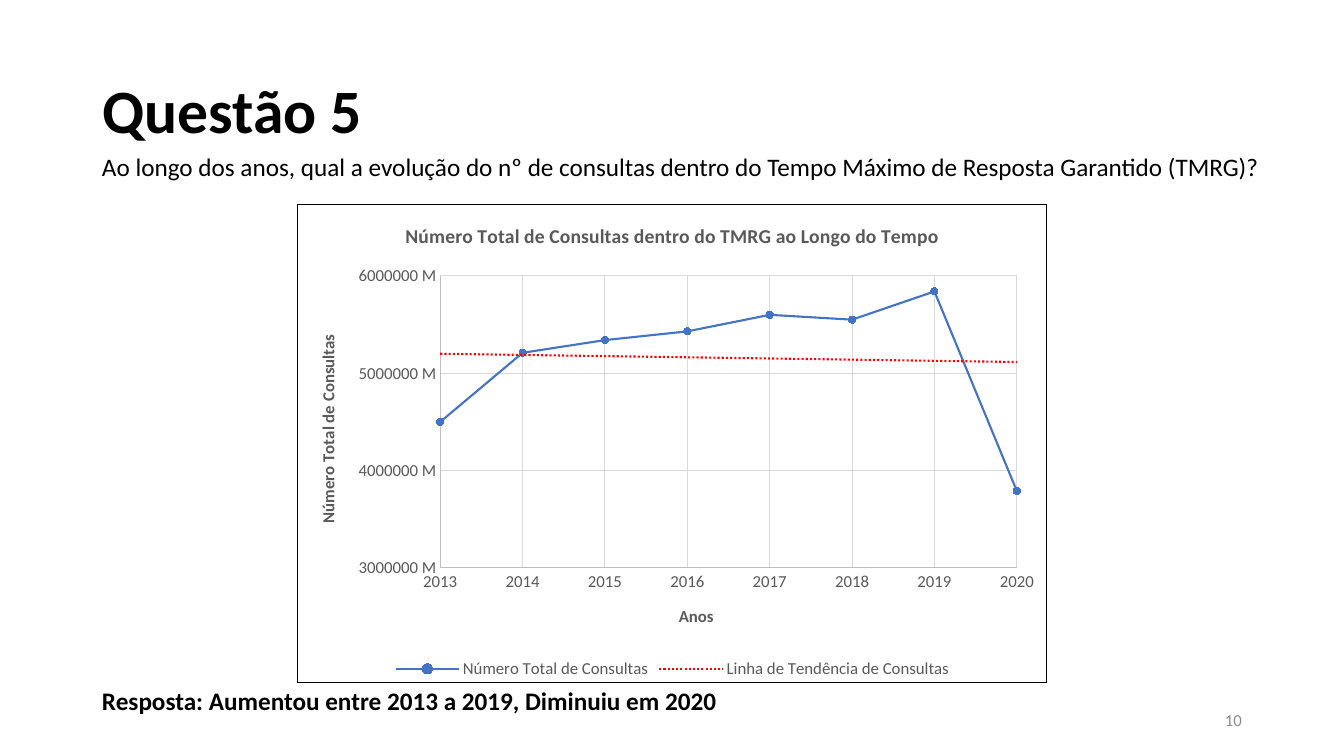
from lxml.etree import fromstring
from pptx import Presentation
from pptx.chart.data import XyChartData
from pptx.dml.color import RGBColor
from pptx.enum.chart import XL_CHART_TYPE as Kind, XL_LEGEND_POSITION as Legend
from pptx.enum.chart import XL_MARKER_STYLE as Mark, XL_TICK_MARK as Tick
from pptx.enum.text import MSO_ANCHOR as Anchor, PP_ALIGN as Align
from pptx.util import Inches, Pt

NS = ('xmlns:c="http://schemas.openxmlformats.org/drawingml/2006/chart" '
      'xmlns:a="http://schemas.openxmlformats.org/drawingml/2006/main"')
COUNTS = [4500000, 5210000, 5340000, 5430000,
          5600000, 5550000, 5840000, 3790000]
YEARS = range(2013, 2013 + len(COUNTS))
TOTAL = "Número Total de Consultas"


def rgb(code):
    """Turn a hex string into a colour."""
    return RGBColor.from_string(code)


def stroke(code, width, dash="solid"):
    """Return chart outline XML."""
    return (f'<c:spPr {NS}><a:ln w="{Pt(width)}"><a:solidFill>'
            f'<a:srgbClr val="{code}"/></a:solidFill>'
            f'<a:prstDash val="{dash}"/></a:ln></c:spPr>')


class Deck:
    """Hold the style and the current slide."""
    face, ink, gray, blue = "Calibri", "000000", "595959", "4472C4"
    rule, grid, pale, red = "BFBFBF", "D9D9D9", "8C8C8C", "FF0000"

    def __init__(self):
        """Start a wide deck with one blank slide."""
        self.prs = Presentation()
        self.prs.slide_width = Inches(13.33)
        self.prs.slide_height = Inches(7.5)
        self.slide = self.prs.slides.add_slide(self.prs.slide_layouts[6])

    def place(self, left, top, width, height):
        """Turn percent shares of the slide into lengths."""
        wide, high = self.prs.slide_width, self.prs.slide_height
        return [int(share * side / 100) for share, side in
                zip((left, top, width, height), (wide, high, wide, high))]

    def style(self, font, size, code, bold=False):
        """Set the look of a font."""
        font.name, font.size, font.bold = self.face, Pt(size), bold
        font.color.rgb = rgb(code)

    def text(self, words, box, size, bold=False, code=ink,
             anchor=Anchor.BOTTOM, align=Align.LEFT):
        """Add a line of text."""
        frame = self.slide.shapes.add_textbox(*self.place(*box)).text_frame
        frame.word_wrap, frame.vertical_anchor = True, anchor
        para = frame.paragraphs[0]
        para.text, para.alignment, para.line_spacing = words, align, 0.9
        self.style(para.runs[0].font, size, code, bold)

    def title(self, owner, words, size):
        """Title a chart or an axis in bold."""
        frame = (owner.chart_title if hasattr(owner, "chart_title")
                 else owner.axis_title).text_frame
        frame.text = words
        self.style(frame.paragraphs[0].runs[0].font, size, self.gray, True)
        return frame

    def axis(self, axis, words, low, high, step, form):
        """Scale and style one axis, and return its title."""
        axis.minimum_scale, axis.maximum_scale = low, high
        axis.major_unit = step
        axis.major_tick_mark = axis.minor_tick_mark = Tick.NONE
        axis.has_major_gridlines = True
        for line, code in ((axis.format.line, self.rule),
                           (axis.major_gridlines.format.line, self.grid)):
            line.color.rgb, line.width = rgb(code), Pt(0.75)
        labels = axis.tick_labels
        labels.number_format, labels.number_format_is_linked = form, False
        self.style(labels.font, 12, self.gray)
        return self.title(axis, words, 12)

    def trend(self, series, name):
        """Add a dotted linear trend to a series."""
        line = fromstring(
            f'<c:trendline {NS}><c:name>{name}</c:name>'
            f'{stroke(self.red, 1.5, "sysDot")}'
            '<c:trendlineType val="linear"/><c:dispRSqr val="0"/>'
            '<c:dispEq val="0"/></c:trendline>')
        series._element.find("{*}xVal").addprevious(line)

    def layout(self, chart, **shares):
        """Fix the inner plot area by shares of the chart."""
        parts = "".join(f'<c:{key} val="{val}"/>'
                        for key, val in shares.items())
        area = chart._chartSpace.find(".//{*}plotArea")
        for old in area.findall("{*}layout"):
            area.remove(old)
        area.insert(0, fromstring(
            f'<c:layout {NS}><c:manualLayout><c:layoutTarget val="inner"/>'
            '<c:xMode val="edge"/><c:yMode val="edge"/>'
            f'{parts}</c:manualLayout></c:layout>'))

    def chart(self, box):
        """Add the chart of visits by year."""
        data = XyChartData()
        points = data.add_series(TOTAL)
        for year, count in zip(YEARS, COUNTS):
            points.add_data_point(year, count)
        chart = self.slide.shapes.add_chart(
            Kind.XY_SCATTER_LINES, *self.place(*box), data).chart
        self.style(chart.font, 12, self.ink)
        self.title(chart, "Número Total de Consultas dentro do TMRG "
                   "ao Longo do Tempo", 14)
        self.axis(chart.category_axis, "Anos", YEARS[0], YEARS[-1], 1,
                  "General")
        side = self.axis(chart.value_axis, TOTAL, 3000000, 6000000, 1000000,
                         '0\\ "M";')
        turn = side._txBody.bodyPr
        turn.set("rot", "-5400000")
        turn.set("vert", "horz")
        chart.has_legend = True
        chart.legend.position = Legend.BOTTOM
        chart.legend.include_in_layout = False
        self.style(chart.legend.font, 12, self.gray)

        plot = chart.plots[0]
        plot.vary_by_categories = False
        series = plot.series[0]
        series.smooth = False
        series.format.line.color.rgb = rgb(self.blue)
        series.format.line.width = Pt(1.5)
        mark = series.marker
        mark.style, mark.size = Mark.CIRCLE, 5
        mark.format.fill.solid()
        mark.format.fill.fore_color.rgb = rgb(self.blue)
        mark.format.line.color.rgb = rgb(self.blue)
        self.trend(series, "Linha de Tendência de Consultas")
        self.layout(chart, x=0.19, y=0.15, w=0.77, h=0.61)
        chart._chartSpace.find("{*}chart").addnext(
            fromstring(stroke(self.ink, 0.75)))


deck = Deck()
deck.text("Questão 5", (6.9, 5.33, 86.25, 19.33), 44, True,
          anchor=Anchor.MIDDLE)
deck.text("10", (70.65, 92.67, 22.5, 5.33), 12, code=deck.pale,
          anchor=Anchor.MIDDLE, align=Align.RIGHT)
deck.text("Resposta: Aumentou entre 2013 a 2019, Diminuiu em 2020",
          (6.85, 85.73, 49.15, 9.6), 18, True)
deck.text("Ao longo dos anos, qual a evolução do nº de consultas dentro do "
          "Tempo Máximo de Resposta Garantido (TMRG)?",
          (6.85, 18.53, 88.2, 6.13), 18)
deck.chart((22.13, 26.93, 55.8, 63.47))
deck.prs.save("out.pptx")
